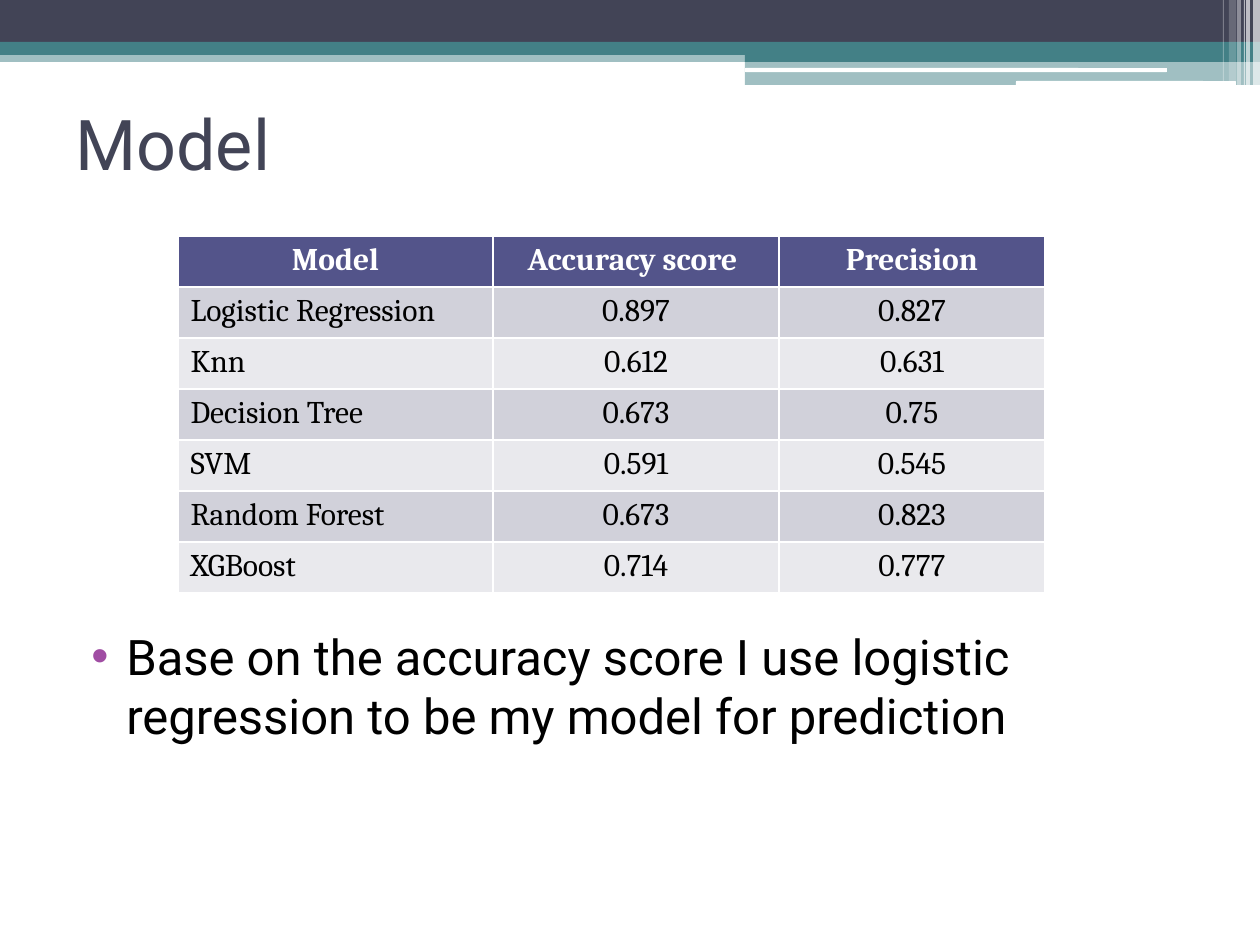
"""Builds the model comparison slide with its banner, score table and conclusion."""
from lxml.etree import SubElement
from pptx import Presentation
from pptx.dml.color import RGBColor
from pptx.enum.shapes import MSO_SHAPE as SHAPE
from pptx.enum.text import MSO_ANCHOR as ANCHOR, PP_ALIGN as ALIGN
from pptx.oxml.ns import qn
from pptx.util import Pt

TITLE = "Model"
CONCLUSION = "Base on the accuracy score I use logistic regression to be my model for prediction"
SCORES = [
    ("Model", "Accuracy score ", "Precision"),
    ("Logistic Regression", "0.897", "0.827"),
    ("Knn", "0.612", "0.631"),
    ("Decision Tree", "0.673", "0.75"),
    ("SVM", "0.591", "0.545"),
    ("Random Forest", "0.673", "0.823"),
    ("XGBoost", "0.714", "0.777"),
]
COLORS = {
    "navy": "424456", "teal": "438086", "white": "FFFFFF", "black": "000000",
    "header": "53548A", "odd": "D1D1DA", "even": "E9E9ED", "bullet": "A04DA3",
}
BANNER = [
    (SHAPE.RECTANGLE, (0, 50, 1260, 12), "teal", 50),
    (SHAPE.RECTANGLE, (0, 0, 1260, 43), "navy", 100),
    (SHAPE.RECTANGLE, (0, 42, 1260, 13), "teal", 100),
    (SHAPE.RECTANGLE, (745, 49, 515, 13), "teal", 100),
    (SHAPE.RECTANGLE, (745, 61, 515, 24), "teal", 50),
    (SHAPE.ROUNDED_RECTANGLE, (745, 68, 422, 4), "white", 100),
    (SHAPE.ROUNDED_RECTANGLE, (1016, 81, 220, 5), "white", 100),
]
STRIPES = [
    (1253, 7, 85, 65), (1246, 4, 85, 65), (1244, 1, 85, 60),
    (1237, 4, 85, 40), (1229, 7, 81, 20), (1223, 1, 81, 30),
]
COLUMN_WIDTHS = (315, 286, 266)
ROW_HEIGHT = 51
SCALE = 914400 / 126


def px(*lengths):
    return [round(length * SCALE) for length in lengths]


def rgb(name):
    return RGBColor.from_string(COLORS[name])


def add_bar(page, kind, place, color, opacity):
    bar = page.shapes.add_shape(kind, *px(*place))
    bar.shadow.inherit = False
    bar.fill.solid()
    bar.fill.fore_color.rgb = rgb(color)
    bar.line.fill.background()
    if opacity < 100:
        tint = bar.fill._xPr.find(".//" + qn("a:srgbClr"))
        SubElement(tint, qn("a:alpha"), val=str(opacity * 1000))


def style_text(para, font, size, color, bold=False):
    for span in para.runs:
        span.font.name, span.font.size, span.font.bold = font, Pt(size), bold
        span.font.color.rgb = rgb(color)


def add_title(page):
    title = page.shapes.title
    title.left, title.top, title.width, title.height = px(63, 69, 1134, 147)
    title.text_frame.text = TITLE
    title.text_frame.vertical_anchor = ANCHOR.MIDDLE
    para = title.text_frame.paragraphs[0]
    para.alignment = ALIGN.LEFT
    style_text(para, "Roboto", 40, "navy")


def add_conclusion(page):
    box = page.shapes.add_textbox(*px(63, 620, 1134, 256))
    box.text_frame.word_wrap = True
    box.text_frame.text = CONCLUSION
    para = box.text_frame.paragraphs[0]
    para.space_before = Pt(3)
    style_text(para, "Roboto", 28, "black")
    margin, indent = px(51, -35)
    props = para._p.get_or_add_pPr()
    props.set("marL", str(margin))
    props.set("indent", str(indent))
    SubElement(SubElement(props, qn("a:buClr")), qn("a:srgbClr"), val=COLORS["bullet"])
    SubElement(props, qn("a:buFont"), typeface="Arial")
    SubElement(props, qn("a:buChar"), char="•")


def add_scores(page):
    place = px(178, 236, sum(COLUMN_WIDTHS), ROW_HEIGHT * len(SCORES))
    table = page.shapes.add_table(len(SCORES), len(COLUMN_WIDTHS), *place).table
    for column, width in zip(table.columns, px(*COLUMN_WIDTHS)):
        column.width = width
    for r, values in enumerate(SCORES):
        is_header = r == 0
        fill = "header" if is_header else "odd" if r % 2 else "even"
        for c, value in enumerate(values):
            cell = table.cell(r, c)
            cell.fill.solid()
            cell.fill.fore_color.rgb = rgb(fill)
            cell.text_frame.text = value
            para = cell.text_frame.paragraphs[0]
            para.alignment = ALIGN.CENTER if is_header or c else ALIGN.LEFT
            style_text(para, "Cambria", 18, "white" if is_header else "black", is_header)


def main():
    deck = Presentation()
    deck.slide_width, deck.slide_height = px(1260, 945)
    page = deck.slides.add_slide(deck.slide_layouts[5])
    for kind, place, color, opacity in BANNER:
        add_bar(page, kind, place, color, opacity)
    for left, width, height, opacity in STRIPES:
        add_bar(page, SHAPE.RECTANGLE, (left, 0, width, height), "white", opacity)
    add_title(page)
    add_conclusion(page)
    add_scores(page)
    deck.save("out.pptx")


if __name__ == "__main__":
    main()
